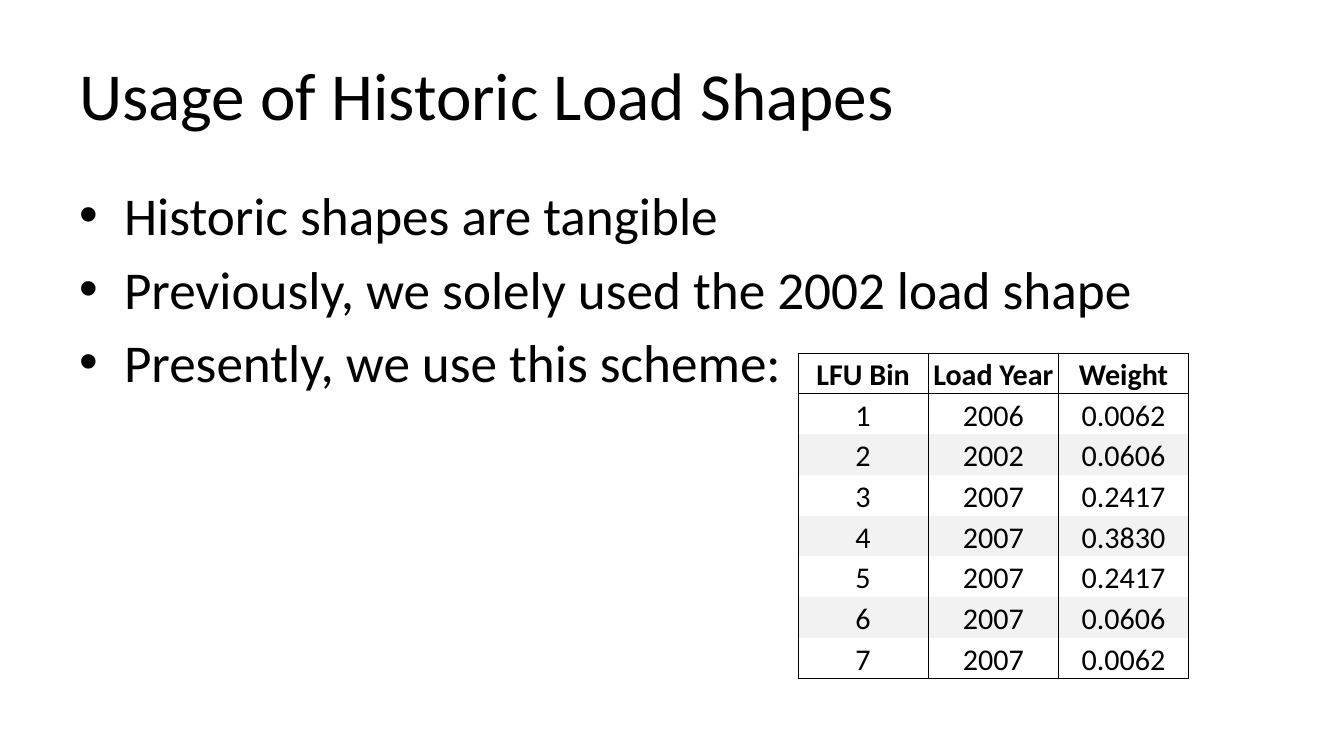
from lxml import etree
from pptx import Presentation
from pptx.dml.color import RGBColor
from pptx.enum.text import MSO_ANCHOR, PP_ALIGN
from pptx.oxml.ns import qn
from pptx.util import Cm, Pt

BLACK = RGBColor(0x00, 0x00, 0x00)
BAND_GREY = RGBColor(0xF2, 0xF2, 0xF2)
TOP, MIDDLE, BOTTOM = MSO_ANCHOR.TOP, MSO_ANCHOR.MIDDLE, MSO_ANCHOR.BOTTOM
CENTER = PP_ALIGN.CENTER

TITLE_FONT = {"name": "Calibri", "size": Pt(96), "bold": False}
BULLET_FONT = {"name": "Calibri", "size": Pt(76), "bold": False}
HEADER_FONT = {"name": "Calibri", "size": Pt(43), "bold": True}
CELL_FONT = {**HEADER_FONT, "bold": False}
FRAME_FORMAT = {
    "word_wrap": True,
    "margin_left": Cm(0.61),
    "margin_right": Cm(0.61),
    "margin_top": Cm(0.3),
    "margin_bottom": Cm(0.3),
}
CELL_FORMAT = {
    "vertical_anchor": BOTTOM,
    "margin_left": 0,
    "margin_right": 0,
    "margin_top": 0,
    "margin_bottom": 0,
}

TITLE = "Usage of Historic Load Shapes"
BULLETS = [
    "Historic shapes are tangible",
    "Previously, we solely used the 2002 load shape",
    "Presently, we use this scheme:",
]
SCHEME = [
    ("LFU Bin", "Load Year", "Weight"),
    ("1", "2006", "0.0062"),
    ("2", "2002", "0.0606"),
    ("3", "2007", "0.2417"),
    ("4", "2007", "0.3830"),
    ("5", "2007", "0.2417"),
    ("6", "2007", "0.0606"),
    ("7", "2007", "0.0062"),
]


def set_format(target, values):
    for name, value in values.items():
        setattr(target, name, value)


def add_span(para, text, font_format):
    span = para.add_run()
    span.text = text
    set_format(span.font, font_format)
    span.font.color.rgb = BLACK


def add_frame(page, box, anchor):
    frame = page.shapes.add_textbox(*box).text_frame
    set_format(frame, {**FRAME_FORMAT, "vertical_anchor": anchor})
    return frame


def set_bullet(para, indent):
    properties = para._p.get_or_add_pPr()
    properties.set("marL", str(indent))
    properties.set("indent", str(-indent))
    etree.SubElement(properties, qn("a:buFont"), typeface="Arial")
    etree.SubElement(properties, qn("a:buChar"), char="•")


def set_borders(cell, drawn_sides):
    properties = cell._tc.get_or_add_tcPr()
    for index, side in enumerate("LRTB"):
        line = etree.Element(qn(f"a:ln{side}"), w=str(Pt(1)))
        if side in drawn_sides:
            fill = etree.SubElement(line, qn("a:solidFill"))
            etree.SubElement(fill, qn("a:srgbClr"), val=str(BLACK))
        else:
            etree.SubElement(line, qn("a:noFill"))
        properties.insert(index, line)


def add_title(page, box):
    frame = add_frame(page, box, MIDDLE)
    add_span(frame.paragraphs[0], TITLE, TITLE_FONT)


def add_bullets(page, box):
    frame = add_frame(page, box, TOP)
    for index, text in enumerate(BULLETS):
        para = frame.add_paragraph() if index else frame.paragraphs[0]
        para.space_before = Pt(14)
        set_bullet(para, Cm(2.26))
        add_span(para, text, BULLET_FONT)


def add_scheme_table(page, box):
    table = page.shapes.add_table(len(SCHEME), len(SCHEME[0]), *box).table
    set_format(table, {"first_row": False, "horz_banding": False})
    last_row = len(SCHEME) - 1
    for row, values in enumerate(SCHEME):
        sides = "LR" + ("T" if row < 2 else "") + ("B" if row in (0, last_row) else "")
        for column, text in enumerate(values):
            cell = table.cell(row, column)
            set_format(cell, CELL_FORMAT)
            if row and row % 2 == 0:
                cell.fill.solid()
                cell.fill.fore_color.rgb = BAND_GREY
            else:
                cell.fill.background()
            set_borders(cell, sides)
            para = cell.text_frame.paragraphs[0]
            para.alignment = CENTER
            add_span(para, text, CELL_FONT if row else HEADER_FONT)


def main():
    deck = Presentation()
    deck.slide_width, deck.slide_height = Cm(67.72), Cm(38.1)
    page = deck.slides.add_slide(deck.slide_layouts[6])
    add_title(page, (Cm(3.38), Cm(1.52), Cm(60.93), Cm(6.35)))
    add_bullets(page, (Cm(3.38), Cm(8.89), Cm(61.16), Cm(25.15)))
    add_scheme_table(page, (Cm(40.21), Cm(17.78), Cm(19.68), Cm(16.41)))
    deck.save("out.pptx")


if __name__ == "__main__":
    main()
